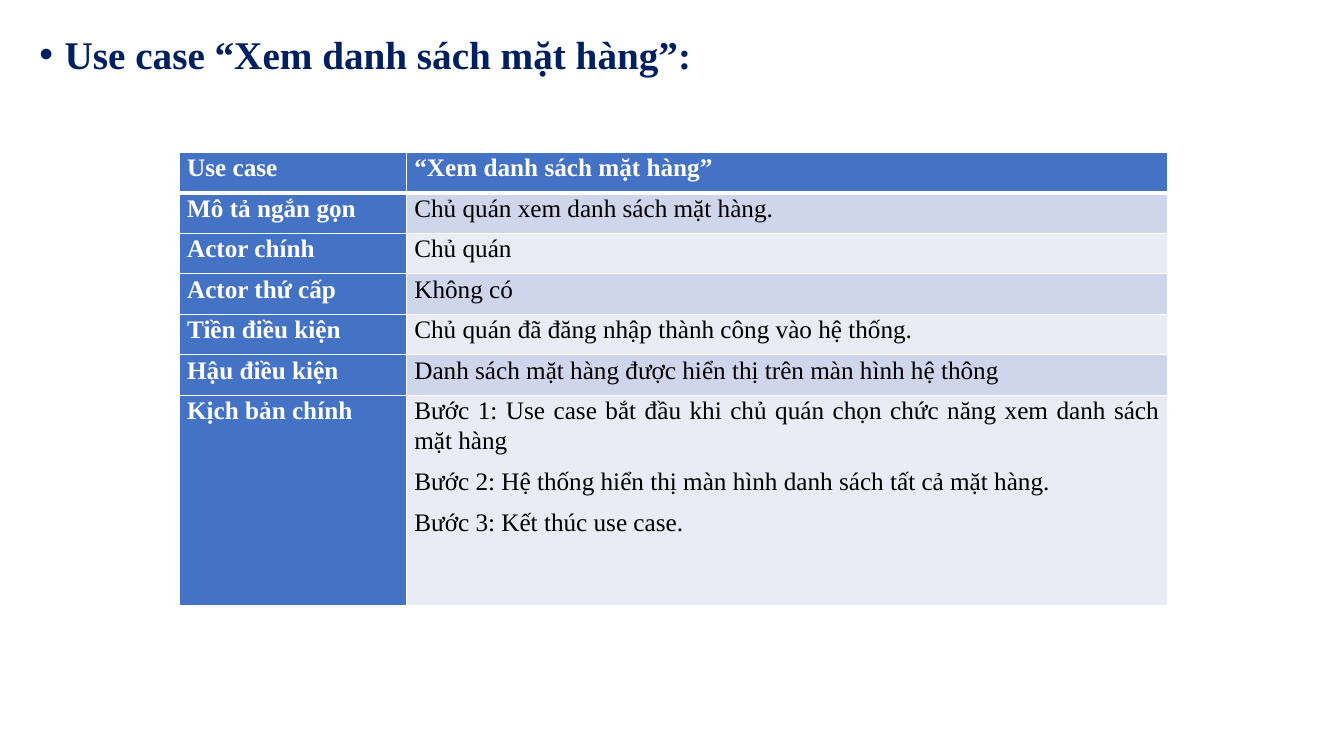
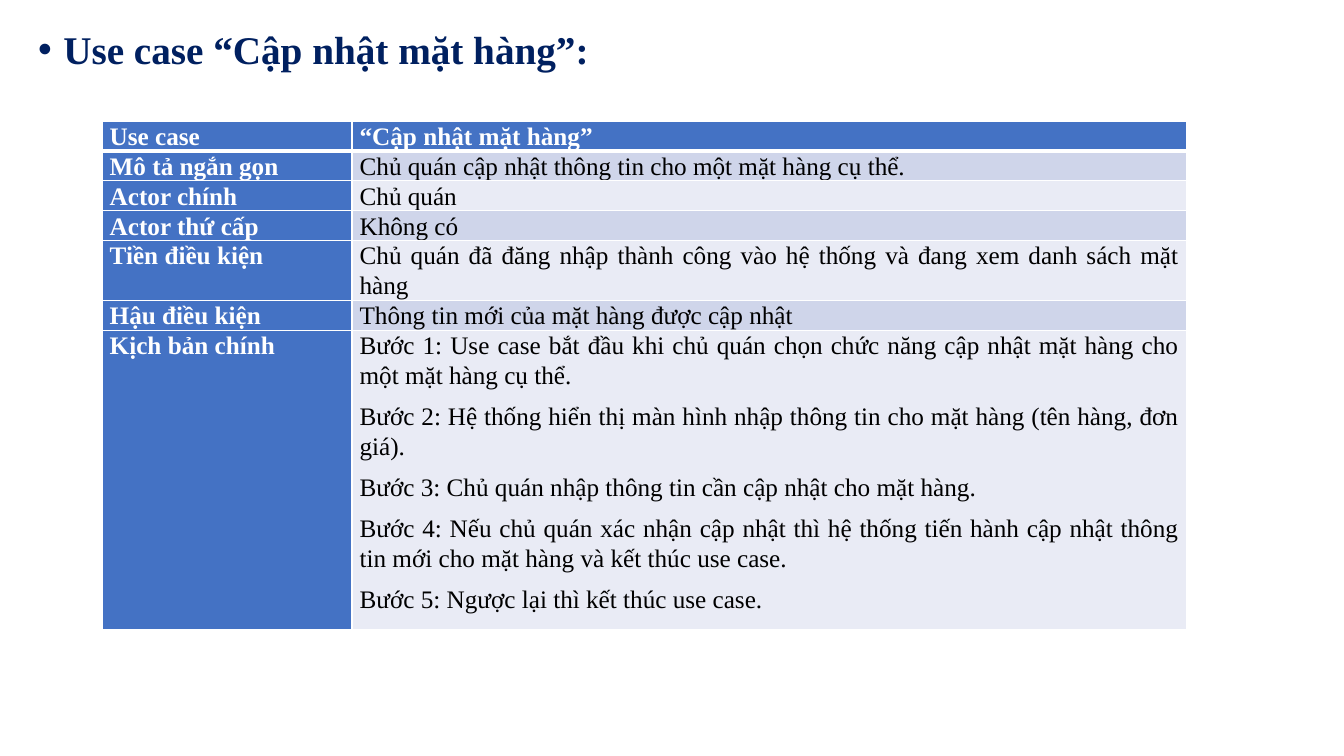
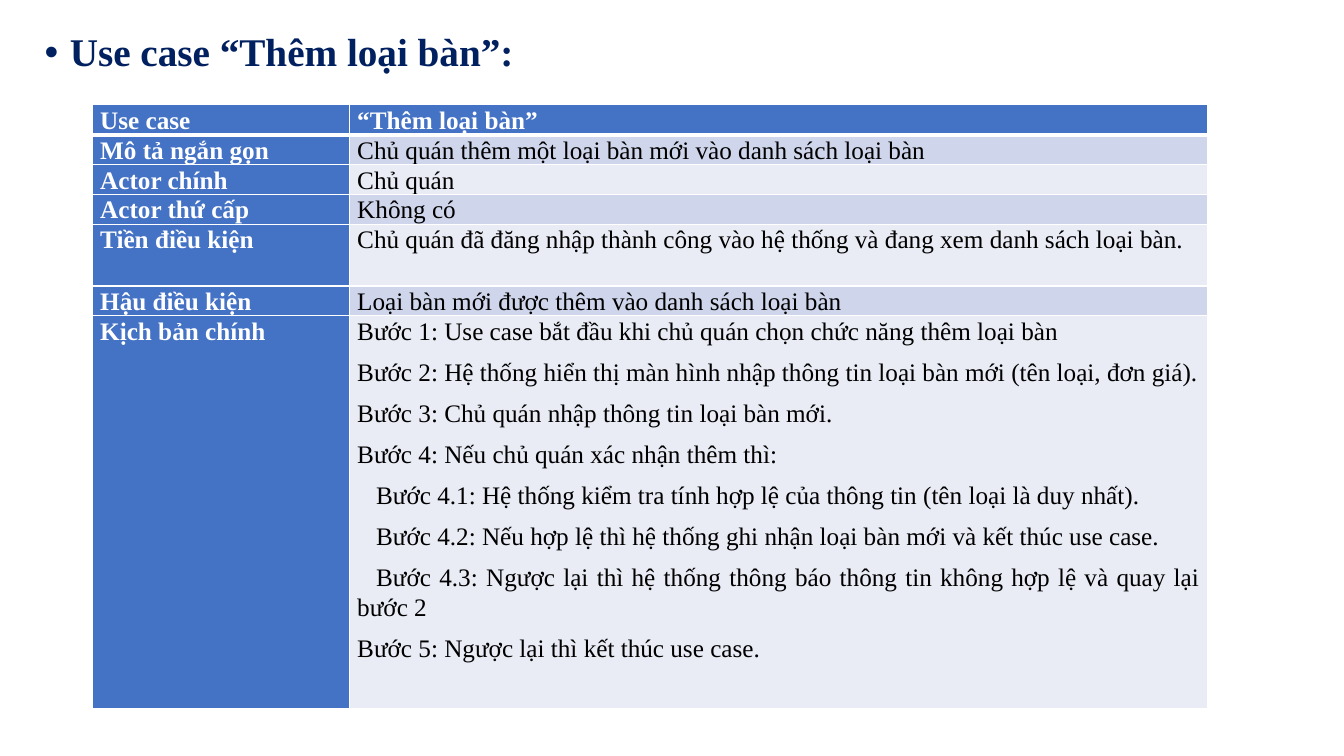
from dataclasses import dataclass
from lxml import etree
from pptx import Presentation
from pptx.dml.color import RGBColor
from pptx.enum import text
from pptx.oxml import ns
from pptx.util import Pt


@dataclass(frozen=True)
class Theme:
    font: str = "Times New Roman"
    heading: str = "002060"
    header: str = "4472C4"
    light: str = "FFFFFF"
    dark: str = "000000"
    bands: tuple = ("E9EBF5", "CFD5EA")
    heading_size: float = 28
    cell_size: float = 18
    margin: float = 5.4
    rule: float = 1
    header_rule: float = 3
    substep_indent: float = 13.5
    bullet_indent: float = 18


T = Theme()
LABELS = ("Use case", "Mô tả ngắn gọn", "Actor chính", "Actor thứ cấp",
          "Tiền điều kiện", "Hậu điều kiện", "Kịch bản chính")
SUBSTEP = "Bước 4."

USE_CASES = [
    dict(
        name="Xem danh sách mặt hàng",
        heading_box=(21, 21.6, 873.5, 464.5),
        table_box=(128.3, 108.9, 705.6, 324),
        label_width=162.3,
        row_heights=[28.9] * 6 + [150.5],
        facts=["Chủ quán xem danh sách mặt hàng.", "Chủ quán", "Không có",
               "Chủ quán đã đăng nhập thành công vào hệ thống.",
               "Danh sách mặt hàng được hiển thị trên màn hình hệ thông"],
        steps=["Bước 1: Use case bắt đầu khi chủ quán chọn chức năng xem danh sách mặt hàng",
               "Bước 2: Hệ thống hiển thị màn hình danh sách tất cả mặt hàng.",
               "Bước 3: Kết thúc use case."],
    ),
    dict(
        name="Cập nhật mặt hàng",
        heading_box=(20, 18, 874, 468.5),
        table_box=(73, 86.4, 774.7, 360),
        label_width=178.5,
        row_heights=[21, 21, 21, 21, 42, 21, 213.8],
        facts=["Chủ quán cập nhật thông tin cho một mặt hàng cụ thể.", "Chủ quán", "Không có",
               "Chủ quán đã đăng nhập thành công vào hệ thống và đang xem danh sách mặt hàng",
               "Thông tin mới của mặt hàng được cập nhật"],
        steps=["Bước 1: Use case bắt đầu khi chủ quán chọn chức năng cập nhật mặt hàng cho một mặt hàng cụ thể.",
               "Bước 2: Hệ thống hiển thị màn hình nhập thông tin cho mặt hàng (tên hàng, đơn giá).",
               "Bước 3: Chủ quán nhập thông tin cần cập nhật cho mặt hàng.",
               "Bước 4: Nếu chủ quán xác nhận cập nhật thì hệ thống tiến hành cập nhật thông tin mới "
               "cho mặt hàng và kết thúc use case.",
               "Bước 5: Ngược lại thì kết thúc use case."],
    ),
    dict(
        name="Thêm loại bàn",
        heading_box=(24.7, 20, 869, 466.5),
        table_box=(66.2, 74.9, 796.3, 430),
        label_width=183.6,
        row_heights=[21, 21, 21, 21, 44, 21, 280.8],
        facts=["Chủ quán thêm một loại bàn mới vào danh sách loại bàn", "Chủ quán", "Không có",
               "Chủ quán đã đăng nhập thành công vào hệ thống và đang xem danh sách loại bàn.",
               "Loại bàn mới được thêm vào danh sách loại bàn"],
        steps=["Bước 1: Use case bắt đầu khi chủ quán chọn chức năng thêm loại bàn",
               "Bước 2: Hệ thống hiển thị màn hình nhập thông tin loại bàn mới (tên loại, đơn giá).",
               "Bước 3: Chủ quán nhập thông tin loại bàn mới.",
               "Bước 4: Nếu chủ quán xác nhận thêm thì:",
               "Bước 4.1: Hệ thống kiểm tra tính hợp lệ của thông tin (tên loại là duy nhất).",
               "Bước 4.2: Nếu hợp lệ thì hệ thống ghi nhận loại bàn mới và kết thúc use case.",
               "Bước 4.3: Ngược lại thì hệ thống thông báo thông tin không hợp lệ và quay lại bước 2",
               "Bước 5: Ngược lại thì kết thúc use case."],
    ),
]


def apply(target, values):
    for name, value in values.items():
        setattr(target, name, value)


def write(p, words, size, color, bold):
    r = p.add_run()
    r.text = words
    apply(r.font, dict(name=T.font, size=Pt(size), bold=bold))
    r.font.color.rgb = RGBColor.from_string(color)


def set_indent(p, left, first):
    pPr = p._p.get_or_add_pPr()
    pPr.set("marL", str(Pt(left)))
    pPr.set("indent", str(Pt(first)))
    return pPr


def add_heading(s, box, words):
    s.shapes.title.element.getparent().remove(s.shapes.title.element)
    sp = s.placeholders[1]
    apply(sp, dict(zip(("left", "top", "width", "height"), map(Pt, box))))
    tf = sp.text_frame
    apply(tf, dict(word_wrap=True, vertical_anchor=text.MSO_ANCHOR.TOP))
    p = tf.paragraphs[0]
    pPr = set_indent(p, T.bullet_indent, -T.bullet_indent)
    etree.SubElement(pPr, ns.qn("a:buFont")).set("typeface", "Arial")
    etree.SubElement(pPr, ns.qn("a:buChar")).set("char", "•")
    apply(p, dict(line_spacing=0.9, space_before=Pt(0)))
    write(p, words, T.heading_size, T.heading, True)


def add_borders(cell, top, bottom):
    tcPr = cell._tc.get_or_add_tcPr()
    for side, width in dict(lnL=T.rule, lnR=T.rule, lnT=top, lnB=bottom).items():
        ln = etree.SubElement(tcPr, ns.qn("a:" + side), w=str(Pt(width)))
        fill = etree.SubElement(ln, ns.qn("a:solidFill"))
        etree.SubElement(fill, ns.qn("a:srgbClr"), val=T.light)


def fill_cell(cell, lines, row, col):
    is_header = row == 0 or col == 0
    add_borders(cell, T.header_rule if row == 1 else T.rule,
                T.header_rule if row == 0 else T.rule)
    cell.fill.solid()
    cell.fill.fore_color.rgb = RGBColor.from_string(T.header if is_header else T.bands[row % 2])
    apply(cell, dict(margin_left=Pt(T.margin), margin_right=Pt(T.margin),
                     margin_top=0, margin_bottom=0))
    tf = cell.text_frame
    for i, line in enumerate(lines):
        p = tf.add_paragraph() if i else tf.paragraphs[0]
        if line.startswith(SUBSTEP):
            set_indent(p, 0, T.substep_indent)
        apply(p, dict(alignment=text.PP_ALIGN.JUSTIFY, line_spacing=1.07, space_after=Pt(8)))
        write(p, line, T.cell_size, T.light if is_header else T.dark, is_header)


def add_use_case_table(s, box, label_width, row_heights, values):
    table = s.shapes.add_table(len(LABELS), 2, *map(Pt, box)).table
    for column, width in zip(table.columns, (label_width, box[2] - label_width)):
        column.width = Pt(width)
    for row, (height, label, lines) in enumerate(zip(row_heights, LABELS, values)):
        table.rows[row].height = Pt(height)
        fill_cell(table.cell(row, 0), [label], row, 0)
        fill_cell(table.cell(row, 1), lines, row, 1)


def add_use_case_slide(prs, case):
    s = prs.slides.add_slide(prs.slide_layouts[1])
    quoted = f"“{case['name']}”"
    add_heading(s, case["heading_box"], f"Use case {quoted}:")
    values = [[quoted], *([fact] for fact in case["facts"]), case["steps"]]
    add_use_case_table(s, case["table_box"], case["label_width"], case["row_heights"], values)


def main():
    prs = Presentation()
    apply(prs, dict(slide_width=Pt(960), slide_height=Pt(540)))
    for case in USE_CASES:
        add_use_case_slide(prs, case)
    prs.save("out.pptx")


if __name__ == "__main__":
    main()
